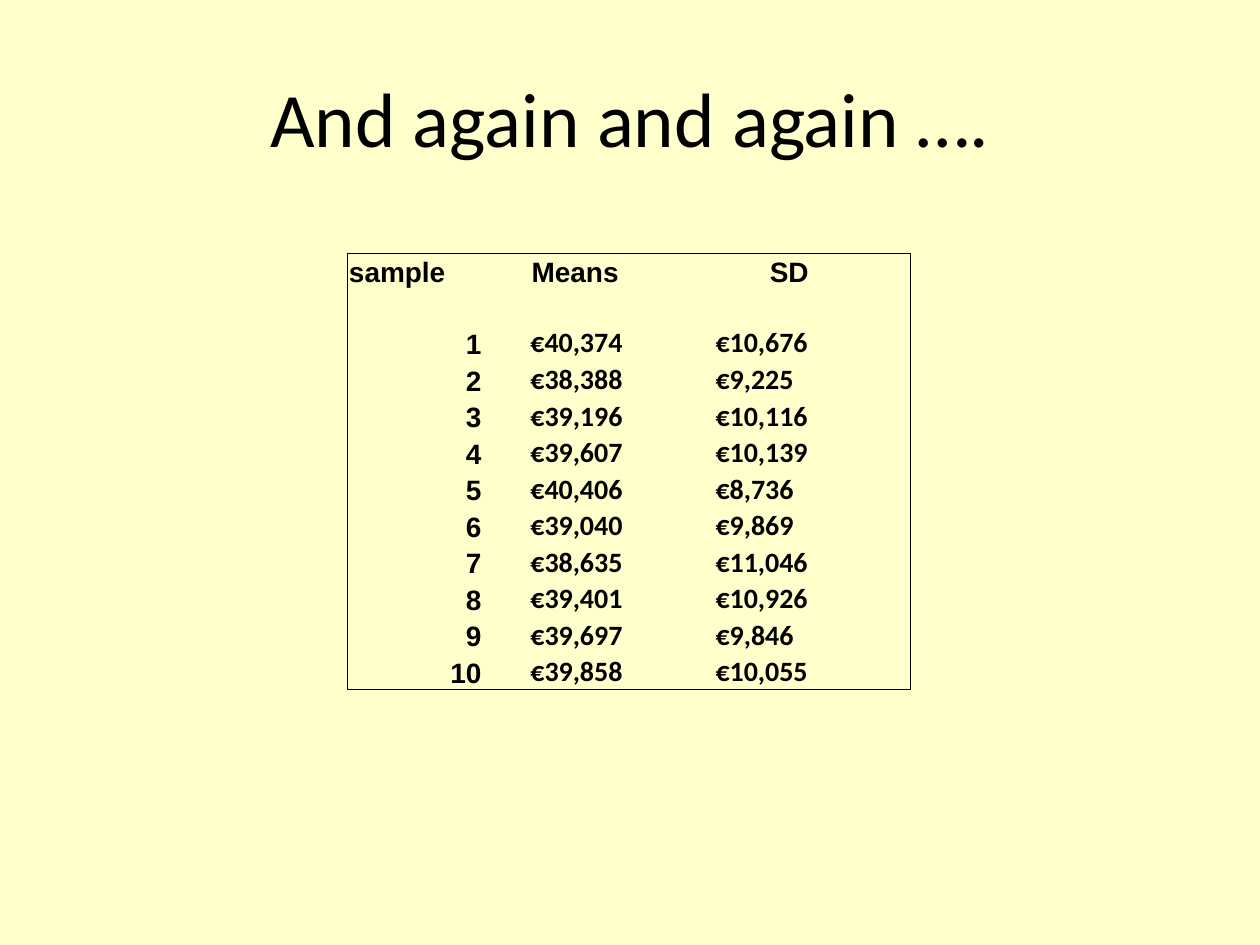
import pptx
import pptx.dml.color
import pptx.enum.text
import pptx.oxml
import pptx.oxml.ns
import pptx.util
import lxml.etree

Inches = pptx.util.Inches
RGBColor = pptx.dml.color.RGBColor
ALIGN = pptx.enum.text.PP_ALIGN
ANCHOR = pptx.enum.text.MSO_ANCHOR
qn = pptx.oxml.ns.qn

CREAM = RGBColor(0xFF, 0xFF, 0xCC)
BLACK = RGBColor(0, 0, 0)

HEADERS = ["sample", "Means", "SD"]
SAMPLES = [
    ("€40,374", "€10,676"),
    ("€38,388", "€9,225"),
    ("€39,196", "€10,116"),
    ("€39,607", "€10,139"),
    ("€40,406", "€8,736"),
    ("€39,040", "€9,869"),
    ("€38,635", "€11,046"),
    ("€39,401", "€10,926"),
    ("€39,697", "€9,846"),
    ("€39,858", "€10,055"),
]
COLUMN_WIDTHS = [1.07, 1.47, 1.93]
HEADER_HEIGHT = 0.28
SAMPLE_HEIGHT = 0.29
TEXT_SIZE = 16
BORDER_WIDTH = 0.5


def write_text(frame, text, font="Arial", size=TEXT_SIZE, bold=False, align=ALIGN.LEFT):
    paragraph = frame.paragraphs[0]
    paragraph.alignment = align
    if not text:
        end = lxml.etree.SubElement(paragraph._p, qn("a:endParaRPr"))
        end.set("sz", str(size * 100))
        return
    run = paragraph.add_run()
    run.text = text
    run.font.name = font
    run.font.size = pptx.util.Pt(size)
    run.font.bold = bold
    run.font.color.rgb = BLACK


def set_borders(cell, visible_sides):
    properties = cell._tc.get_or_add_tcPr()
    for index, side in enumerate("LRTB"):
        line = pptx.oxml.parse_xml(
            f'<a:ln{side} {pptx.oxml.ns.nsdecls("a")} w="{pptx.util.Pt(BORDER_WIDTH)}"/>'
        )
        if side in visible_sides:
            fill = lxml.etree.SubElement(line, qn("a:solidFill"))
            lxml.etree.SubElement(fill, qn("a:srgbClr")).set("val", str(BLACK))
        else:
            lxml.etree.SubElement(line, qn("a:noFill"))
        properties.insert(index, line)


def format_cell(cell, indent):
    cell.vertical_anchor = ANCHOR.BOTTOM
    cell.margin_left = Inches(indent)
    cell.margin_top = cell.margin_right = Inches(0.01)
    cell.margin_bottom = 0
    cell.fill.background()


def outer_sides(row, column, row_count, column_count):
    edges = {
        "L": column == 0,
        "R": column == column_count - 1,
        "T": row == 0,
        "B": row == row_count - 1,
    }
    return [side for side, on_edge in edges.items() if on_edge]


def add_title(slide, text):
    title = slide.shapes.title
    title.left, title.top = Inches(0.5), Inches(0.3)
    title.width, title.height = Inches(9), Inches(1.25)
    title.text_frame.vertical_anchor = ANCHOR.MIDDLE
    write_text(title.text_frame, text, font="Calibri", size=44, align=ALIGN.CENTER)


def add_sample_table(slide):
    rows = [HEADERS, [""] * len(HEADERS)]
    rows += [(str(number), *values) for number, values in enumerate(SAMPLES, 1)]
    heights = [HEADER_HEIGHT] * 2 + [SAMPLE_HEIGHT] * len(SAMPLES)
    table = slide.shapes.add_table(
        len(rows), len(HEADERS), Inches(2.76), Inches(2.01),
        Inches(sum(COLUMN_WIDTHS)), Inches(sum(heights)),
    ).table
    table.first_row = False
    table.horz_banding = False
    for column, width in zip(table.columns, COLUMN_WIDTHS):
        column.width = Inches(width)
    for row, height in zip(table.rows, heights):
        row.height = Inches(height)

    for row, texts in enumerate(rows):
        for column, text in enumerate(texts):
            cell = table.cell(row, column)
            is_amount = row > 1 and column > 0
            if is_amount or (row, column) == (0, 0):
                align = ALIGN.LEFT
            else:
                align = ALIGN.CENTER if row == 0 else ALIGN.RIGHT
            format_cell(cell, indent=0.38 if is_amount else 0.01)
            set_borders(cell, outer_sides(row, column, len(rows), len(HEADERS)))
            write_text(cell.text_frame, text, font="Calibri" if is_amount else "Arial",
                       bold=True, align=align)


def main():
    presentation = pptx.Presentation()
    presentation.slide_width = Inches(10)
    presentation.slide_height = Inches(7.5)
    slide = presentation.slides.add_slide(presentation.slide_layouts[5])
    slide.background.fill.solid()
    slide.background.fill.fore_color.rgb = CREAM
    add_title(slide, "And again and again ….")
    add_sample_table(slide)
    presentation.save("out.pptx")


if __name__ == "__main__":
    main()
